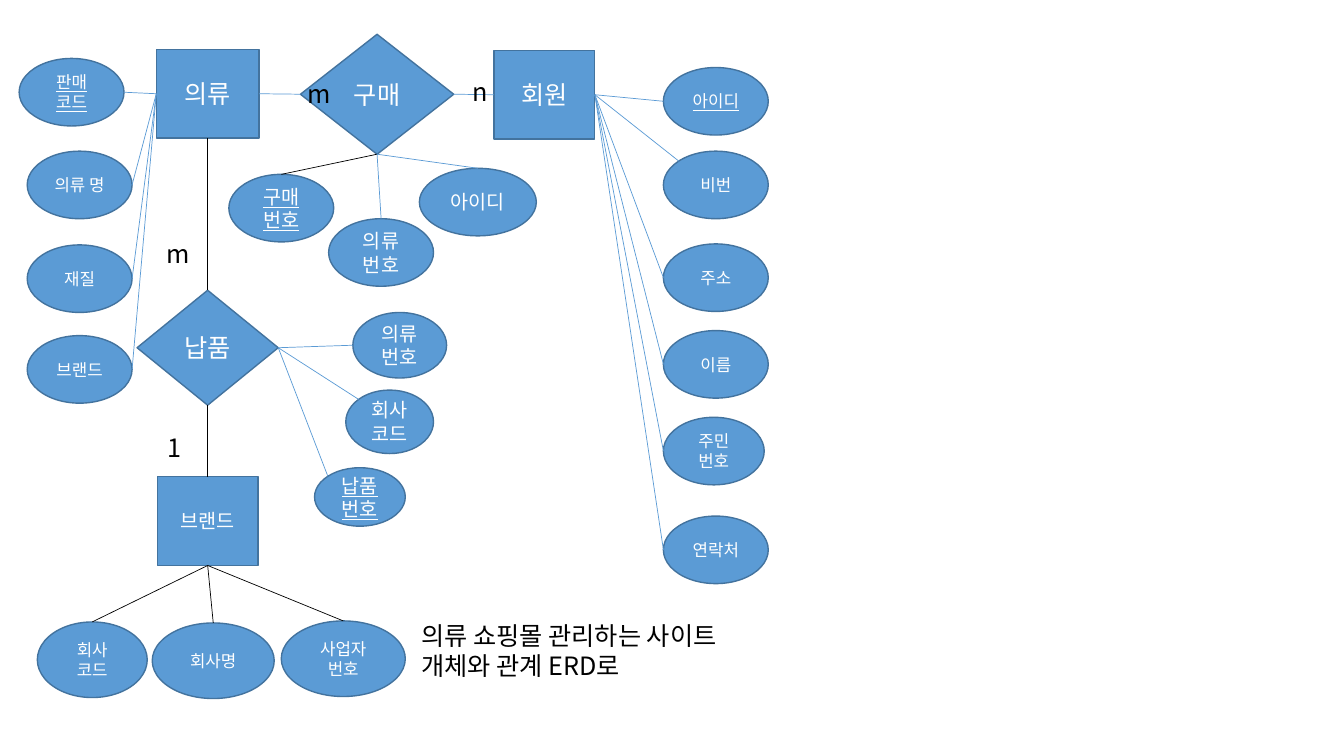
from dataclasses import dataclass
from math import sqrt

from lxml import etree
from pptx import Presentation
from pptx.dml.color import RGBColor
from pptx.enum.shapes import MSO_CONNECTOR, MSO_SHAPE
from pptx.enum.text import MSO_ANCHOR, PP_ALIGN
from pptx.oxml.ns import qn
from pptx.util import Inches, Pt

RECT, DIAMOND, OVAL = MSO_SHAPE.RECTANGLE, MSO_SHAPE.DIAMOND, MSO_SHAPE.OVAL
STRAIGHT = MSO_CONNECTOR.STRAIGHT
CENTER, LEFT = PP_ALIGN.CENTER, PP_ALIGN.LEFT
MIDDLE, TOP = MSO_ANCHOR.MIDDLE, MSO_ANCHOR.TOP

FONT = "Noto Sans CJK KR"
COLORS = {"fill": "5B9BD5", "edge": "43739E", "white": "FFFFFF", "black": "000000"}

# Connection sites of rectangles and diamonds
SITE_TOP, SITE_LEFT, SITE_BOTTOM, SITE_RIGHT = range(4)

# Where a line meets an oval, as fractions of its width and height
CORNER = (1 - sqrt(0.5)) / 2
OVAL_POINTS = {"top": (0.5, 0), "left": (0, 0.5), "right": (1, 0.5),
               "top_left": (CORNER, CORNER)}


@dataclass
class Hub:
    """An entity (rectangle) or a relationship (diamond)."""
    text: str
    kind: int
    x: float
    y: float
    w: float
    h: float
    size: int = 18


@dataclass
class Attribute:
    """An oval tied to a hub; key attributes are underlined."""
    text: str
    x: float
    y: float
    w: float = 1.04
    h: float = 0.67
    size: int = 12
    key: bool = False
    meets: str = "left"
    color: str = "fill"


@dataclass
class Label:
    text: str
    x: float
    y: float
    w: float = 0.43
    h: float = 0.4


HUBS = {
    "clothes": Hub("의류", RECT, 1.55, 0.49, 1.02, 0.88),
    "member": Hub("회원", RECT, 4.9, 0.5, 1, 0.88),
    "brand": Hub("브랜드", RECT, 1.56, 4.73, 1, 0.88, 14),
    "purchase": Hub("구매", DIAMOND, 2.98, 0.34, 1.52, 1.19),
    "supply": Hub("납품", DIAMOND, 1.36, 2.88, 1.4, 1.14),
}

# Hub and the site its attribute lines start from
ATTRIBUTES = {
    ("clothes", SITE_LEFT): [
        Attribute("판매 코드", 0.19, 0.58, key=True, meets="right"),
        Attribute("의류 명", 0.27, 1.5, meets="right"),
        Attribute("재질", 0.27, 2.43, meets="right"),
        Attribute("브랜드", 0.27, 3.33, meets="right"),
    ],
    ("member", SITE_RIGHT): [
        Attribute("아이디", 6.58, 0.67, key=True),
        Attribute("비번", 6.58, 1.5, meets="top_left"),
        Attribute("주소", 6.58, 2.42),
        Attribute("이름", 6.58, 3.28),
        Attribute("주민 번호", 6.58, 4.14, w=1),
        Attribute("연락처", 6.58, 5.12),
    ],
    ("brand", SITE_BOTTOM): [
        Attribute("회사\n코드", 0.37, 6.17, 1.09, 0.75, meets="top", color="black"),
        Attribute("회사명", 1.51, 6.18, 1.21, 0.75, meets="top", color="black"),
        Attribute("사업자\n번호", 2.79, 6.16, 1.23, 0.75, meets="top", color="black"),
    ],
    ("purchase", SITE_BOTTOM): [
        Attribute("구매 번호", 2.27, 1.73, size=14, key=True, meets="top", color="black"),
        Attribute("의류 번호", 3.26, 2.17, size=14, meets="top"),
        Attribute("아이디", 4.16, 1.67, w=1.16, size=14, meets="top"),
    ],
    ("supply", SITE_RIGHT): [
        Attribute("의류 번호", 3.5, 3.1, 0.93, 0.65, 14),
        Attribute("회사 코드", 3.43, 3.87, 0.87, 0.63, 14, meets="top_left"),
        Attribute("납품 번호", 3.12, 4.64, 0.9, 0.58, 14, key=True, meets="top_left"),
    ],
}

RELATIONS = [
    ("clothes", SITE_RIGHT, "purchase", SITE_LEFT, "fill"),
    ("purchase", SITE_RIGHT, "member", SITE_LEFT, "fill"),
    ("clothes", SITE_BOTTOM, "supply", SITE_TOP, "black"),
    ("supply", SITE_BOTTOM, "brand", SITE_TOP, "black"),
]

LABELS = [
    Label("m", 1.56, 2.32, w=0.19),
    Label("m", 2.95, 0.73),
    Label("n", 4.59, 0.71),
    Label("1", 1.56, 4.24),
    Label("의류 쇼핑몰 관리하는 사이트\n개체와 관계 ERD로", 4.08, 6.1, 3.54, 0.71),
]


def rgb(name: str) -> RGBColor:
    return RGBColor.from_string(COLORS[name])


def write(sp, text: str, *, size: int = 18, color: str = "white", underline: bool = False,
          align=CENTER, anchor=MIDDLE) -> None:
    tf = sp.text_frame
    tf.word_wrap = True
    tf.vertical_anchor = anchor
    tf.text = text
    for p in tf.paragraphs:
        p.alignment = align
        for r in p.runs:
            r.font.name = FONT
            r.font.size = Pt(size)
            r.font.color.rgb = rgb(color)
            if underline:
                r.font.underline = True
            ea = etree.SubElement(r.font._element, qn("a:ea"))
            ea.set("typeface", FONT)


def draw_node(slide, kind: int, node: Hub | Attribute, underline: bool = False):
    sp = slide.shapes.add_shape(kind, Inches(node.x), Inches(node.y),
                                Inches(node.w), Inches(node.h))
    sp.shadow.inherit = False
    sp.fill.solid()
    sp.fill.fore_color.rgb = rgb("fill")
    sp.line.color.rgb = rgb("edge")
    sp.line.width = Pt(1)
    write(sp, node.text, size=node.size, underline=underline)
    return sp


def draw_line(slide, hub, site: int, color: str, x: float = 0, y: float = 0):
    line = slide.shapes.add_connector(STRAIGHT, 0, 0, Inches(x), Inches(y))
    line.begin_connect(hub, site)
    line.line.color.rgb = rgb(color)
    line.line.width = Pt(0.5)
    etree.SubElement(line._element.spPr, qn("a:effectLst"))
    return line


prs = Presentation()
prs.slide_width, prs.slide_height = Inches(13.33), Inches(7.5)
slide = prs.slides.add_slide(prs.slide_layouts[6])

# Entities and relationships
hubs = {name: draw_node(slide, hub.kind, hub) for name, hub in HUBS.items()}
for start, start_site, end, end_site, color in RELATIONS:
    draw_line(slide, hubs[start], start_site, color).end_connect(hubs[end], end_site)

# Attributes with their lines
for (name, site), attributes in ATTRIBUTES.items():
    for a in attributes:
        draw_node(slide, OVAL, a, underline=a.key)
        fx, fy = OVAL_POINTS[a.meets]
        draw_line(slide, hubs[name], site, a.color, a.x + fx * a.w, a.y + fy * a.h)

# Cardinalities and caption
for label in LABELS:
    box = slide.shapes.add_textbox(Inches(label.x), Inches(label.y),
                                   Inches(label.w), Inches(label.h))
    write(box, label.text, color="black", align=LEFT, anchor=TOP)

prs.save("out.pptx")
